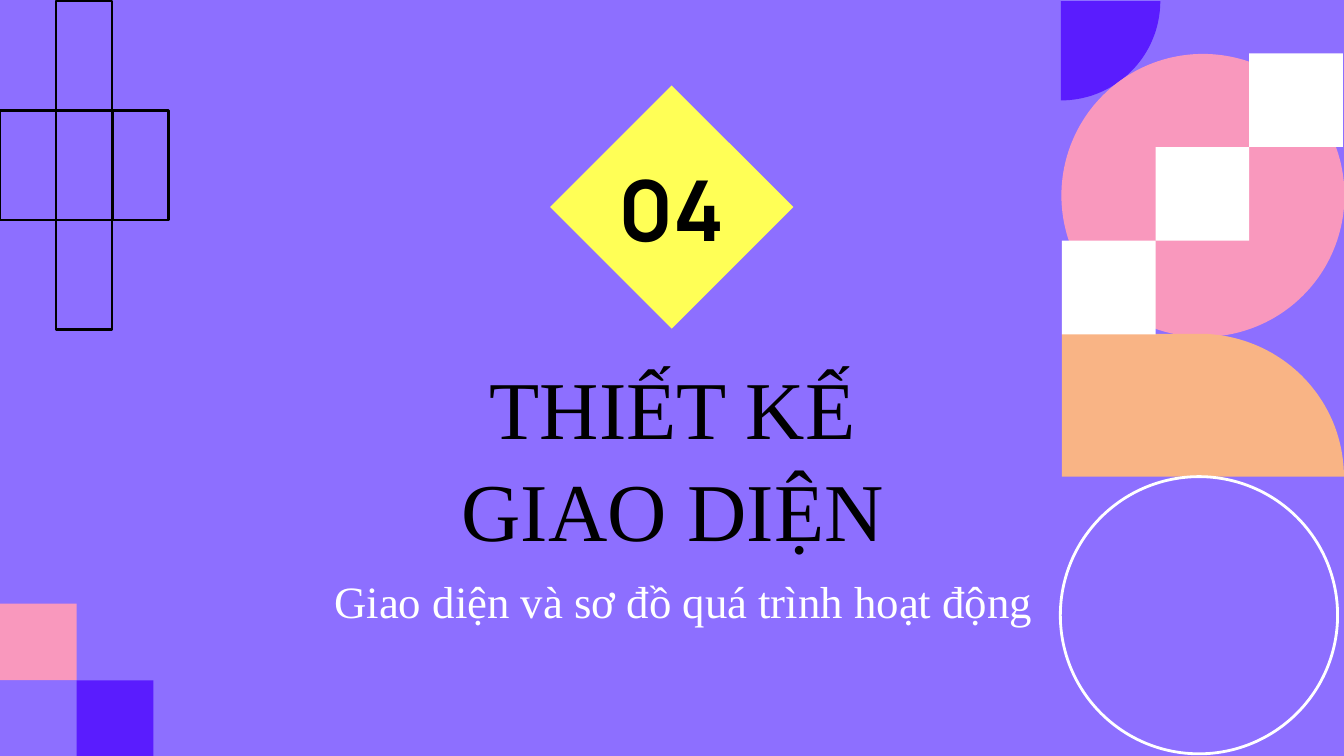
from math import cos, pi, sin

from pptx import Presentation
from pptx.dml.color import RGBColor
from pptx.enum.shapes import MSO_SHAPE as Preset
from pptx.enum.text import MSO_ANCHOR as Anchor, PP_ALIGN as Align
from pptx.util import Cm, Pt

# Content: boxes are left, top, width, height in cm
TITLE = "THIẾT KẾ GIAO DIỆN"
SUBTITLE = "Giao diện và sơ đồ quá trình hoạt động"
NUMBER = "04"
TITLE_BOX = (7.29, 6.3, 10.85, 6.07)
SUBTITLE_BOX = (6.07, 10.44, 13.84, 1.02)
NUMBER_BOX = (10.95, 2.82, 3.48, 2.21)
DIAMOND_BOX = (11.07, 2.29, 3.25, 3.25)
PINK_DISC = (20.06, 1.02, 5.35, 5.35)
RING = (20.04, 9.01, 5.24, 5.24)
CROSS_CELLS = [(2, 1), (0, 1), (1, 0), (1, 2)]  # column, row
CROSS_TOP, CELL_W, CELL_H = 0.02, 1.06, 2.07
CORNER_SQUARES = ["pink", "violet"]
CORNER_TOP, CORNER_SIDE = 11.41, 1.45
STAIR_LEFT, STAIR_TOP, STAIR_SIDE, STAIR_COUNT = 20.07, 1.01, 1.77, 3

THEME = {
    "background": "8D6FFF", "violet": "5A1CFE", "pink": "F998BD",
    "yellow": "FFFF56", "orange": "F9B485", "white": "FFFFFF", "black": "000000",
    "text_font": "Times New Roman", "number_font": "Manrope",
    "title_size": 44, "subtitle_size": 24, "number_size": 45, "line": 1.5,
}


def color(name):
    return RGBColor.from_string(THEME[name])


def paint(part, fill=None, line=None):
    part.shadow.inherit = False
    if fill:
        part.fill.solid()
        part.fill.fore_color.rgb = color(fill)
    else:
        part.fill.background()
    if line:
        part.line.color.rgb = color(line)
        part.line.width = Pt(THEME["line"])
    else:
        part.line.fill.background()
    return part


def add_preset(slide, preset, box, **look):
    return paint(slide.shapes.add_shape(preset, *map(Cm, box)), **look)


def add_outline(slide, points, **look):
    start, *rest = [(Cm(x), Cm(y)) for x, y in points]
    builder = slide.shapes.build_freeform(*start)
    builder.add_line_segments(rest, close=True)
    return paint(builder.convert_to_shape(), **look)


def quarter_arc(center_x, center_y, radius_x, radius_y, start, steps=48):
    """Points of a quarter turn, with start in quarter turns from the right."""
    angles = [(start + i / steps) * pi / 2 for i in range(steps + 1)]
    return [(center_x + radius_x * cos(a), center_y + radius_y * sin(a)) for a in angles]


def write(holder, text, font, size, ink, bold=False, align=Align.LEFT,
          anchor=Anchor.TOP, spacing=1.0, inset_top=0.25):
    frame = holder.text_frame
    frame.word_wrap = True
    frame.vertical_anchor = anchor
    frame.margin_left = frame.margin_right = frame.margin_bottom = Cm(0.25)
    frame.margin_top = Cm(inset_top)
    paragraph = frame.paragraphs[0]
    paragraph.alignment = align
    paragraph.line_spacing = spacing
    run = paragraph.add_run()
    run.text = text
    run.font.name = THEME[font]
    run.font.size = Pt(THEME[size])
    run.font.bold = bold
    run.font.color.rgb = color(ink)


def main():
    deck = Presentation()
    deck.slide_width, deck.slide_height = Cm(25.4), Cm(14.29)
    slide = deck.slides.add_slide(deck.slide_layouts[5])
    slide.background.fill.solid()
    slide.background.fill.fore_color.rgb = color("background")

    # Left side: corner squares and outlined cross
    for i, fill in enumerate(CORNER_SQUARES):
        add_preset(slide, Preset.RECTANGLE,
                   (i * CORNER_SIDE, CORNER_TOP + i * CORNER_SIDE, CORNER_SIDE, CORNER_SIDE),
                   fill=fill)
    for column, row in CROSS_CELLS:
        add_preset(slide, Preset.RECTANGLE,
                   (column * CELL_W, CROSS_TOP + row * CELL_H, CELL_W, CELL_H), line="black")

    # Right side: quarter disc, disc, arch, ring and white stairs
    add_outline(slide, [(20.05, 0.02)] + quarter_arc(20.05, 0.02, 1.88, 1.88, 0), fill="violet")
    add_preset(slide, Preset.OVAL, PINK_DISC, fill="pink")
    add_outline(slide, [(20.07, 9.01), (20.07, 6.31)] + quarter_arc(22.67, 9.01, 2.73, 2.7, 3),
                fill="orange")
    add_preset(slide, Preset.OVAL, RING, line="white")
    for i in range(STAIR_COUNT):
        add_preset(slide, Preset.RECTANGLE,
                   (STAIR_LEFT + i * STAIR_SIDE,
                    STAIR_TOP + (STAIR_COUNT - 1 - i) * STAIR_SIDE, STAIR_SIDE, STAIR_SIDE),
                   fill="white")

    # Centre: numbered diamond, title and subtitle
    diamond = add_preset(slide, Preset.RECTANGLE, DIAMOND_BOX, fill="yellow")
    diamond.rotation = 45
    write(slide.shapes.add_textbox(*map(Cm, NUMBER_BOX)), NUMBER, "number_font", "number_size",
          "black", bold=True, align=Align.CENTER, anchor=Anchor.MIDDLE)
    title = slide.shapes.title
    title.left, title.top, title.width, title.height = map(Cm, TITLE_BOX)
    write(title, TITLE, "text_font", "title_size", "black", align=Align.CENTER,
          spacing=1.04, inset_top=0.38)
    write(slide.shapes.add_textbox(*map(Cm, SUBTITLE_BOX)), SUBTITLE, "text_font",
          "subtitle_size", "white", spacing=1.15)

    deck.save("out.pptx")


if __name__ == "__main__":
    main()
